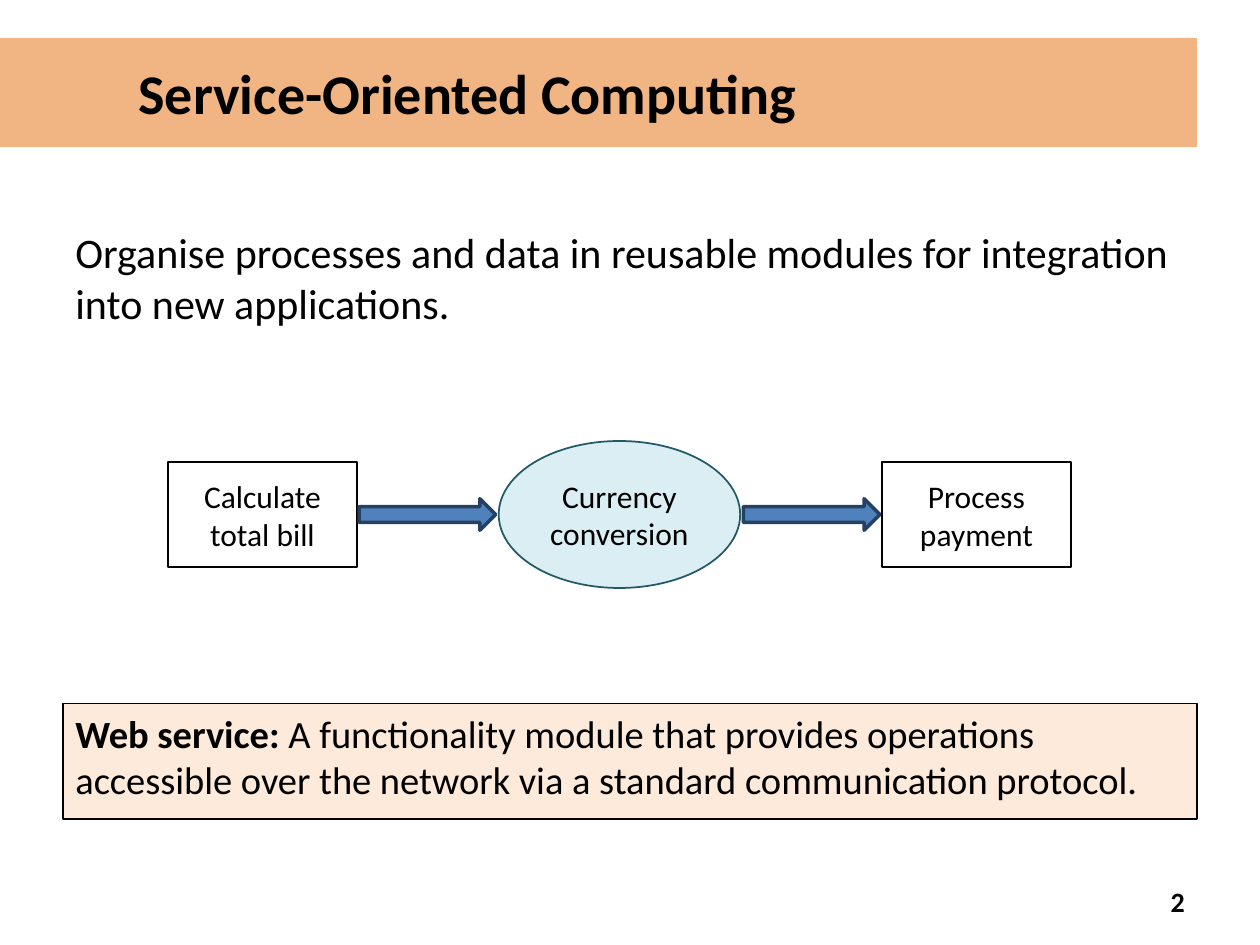
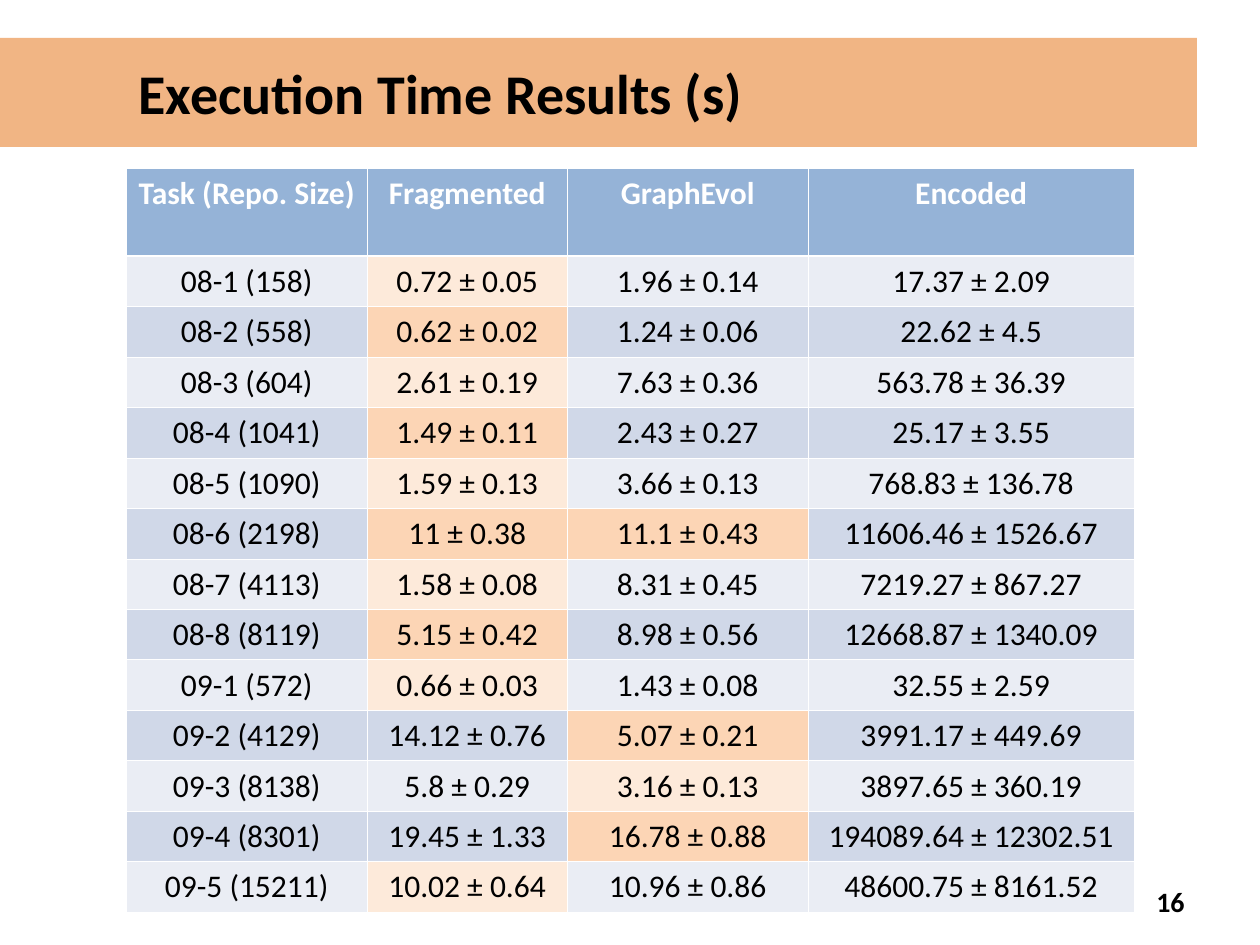
from lxml.etree import SubElement
from pptx import Presentation
from pptx.dml.color import RGBColor
from pptx.enum.shapes import MSO_SHAPE
from pptx.enum.text import MSO_ANCHOR, PP_ALIGN
from pptx.oxml import parse_xml
from pptx.oxml.ns import nsdecls, qn
from pptx.util import Inches, Pt

# Grid: 120 columns by 90 rows on a 10 x 7.5 inch slide
prs = Presentation()
prs.slide_width, prs.slide_height = Inches(10), Inches(7.5)
U = prs.slide_width // 120
rgb = RGBColor.from_string

FONT = "Calibri"
BLACK, WHITE = "000000", "FFFFFF"
ORANGE, PEACH, DEEP_PEACH = "E46C0A", "FDEADA", "FCD5B5"
HEADER, LIGHT_ROW, DARK_ROW = "95B3D7", "EAEDF4", "D0D8E8"
LEFT, CENTER, RIGHT = PP_ALIGN.LEFT, PP_ALIGN.CENTER, PP_ALIGN.RIGHT


def write(tf, text, size=18, color=BLACK, bold=False, align=CENTER, lead=""):
    """Write one paragraph, with an optional bold lead-in."""
    p = tf.paragraphs[0]
    p.alignment = align
    for part, heavy in ((lead, True), (text, bold)):
        if part:
            r = p.add_run()
            r.text = part
            r.font.name, r.font.size, r.font.bold = FONT, Pt(size), heavy
            r.font.color.rgb = rgb(color)


def block(s, kind, at, fill=None, line=None, width=1, anchor=MSO_ANCHOR.MIDDLE):
    """Add a shape, or a text box if kind is None, at grid units."""
    at = [int(v * U) for v in at]
    if kind is None:
        sp = s.shapes.add_textbox(*at)
    else:
        sp = s.shapes.add_shape(kind, *at)
        sp.shadow.inherit = False
        sp.fill.solid()
        sp.fill.fore_color.rgb = rgb(fill)
        if line:
            sp.line.color.rgb = rgb(line)
            sp.line.width = Pt(width)
        else:
            sp.line.fill.background()
    sp.text_frame.word_wrap = True
    sp.text_frame.vertical_anchor = anchor
    return sp


# Shared parts: title band and page number
slides = []
for title, number in (("Service-Oriented Computing", "2"),
                      ("Execution Time Results (s)", "16")):
    s = prs.slides.add_slide(prs.slide_layouts[6])
    band = block(s, MSO_SHAPE.RECTANGLE, (0, 3.6, 114, 10.4), ORANGE)
    color = band.fill._xPr.find(qn("a:solidFill"))[0]
    SubElement(color, qn("a:alpha"), val="50000")
    band.text_frame.margin_left = Inches(1.1)
    write(band.text_frame, title, size=32, bold=True, align=LEFT)
    page = block(s, None, (86, 83.4, 28, 4.8))
    write(page.text_frame, number, size=16, bold=True, align=RIGHT)
    slides.append(s)

# Slide 1: statement and definition
s = slides[0]
sp = block(s, None, (6, 21, 108, 11), anchor=MSO_ANCHOR.TOP)
write(sp.text_frame, "Organise processes and data in reusable modules for "
      "integration into new applications.", size=24, align=LEFT)
sp = block(s, MSO_SHAPE.RECTANGLE, (6, 67, 108, 11), PEACH, BLACK, 0.75,
           MSO_ANCHOR.TOP)
write(sp.text_frame, " A functionality module that provides operations accessible "
      "over the network via a standard communication protocol.",
      size=22, align=LEFT, lead="Web service:")

# Slide 1: process flow
for text, kind, at, fill, line in (
    ("Calculate total bill", MSO_SHAPE.RECTANGLE, (16, 44, 18, 10), WHITE, BLACK),
    ("Process payment", MSO_SHAPE.RECTANGLE, (84, 44, 18, 10), WHITE, BLACK),
    ("Currency conversion", MSO_SHAPE.OVAL, (47.5, 42, 23, 14), "DBEEF4", "215968"),
):
    write(block(s, kind, at, fill, line).text_frame, text)
for x in (34.2, 70.8):
    block(s, MSO_SHAPE.RIGHT_ARROW, (x, 47.5, 13, 3), "4F81BD", "254061", 2)

# Slide 2: results, with the columns that hold the best time
headings = ("Task (Repo. Size)", "Fragmented", "GraphEvol", "Encoded")
results = (
    ("08-1 (158)", "0.72 ± 0.05", "1.96 ± 0.14", "17.37 ± 2.09", (1,)),
    ("08-2 (558)", "0.62 ± 0.02", "1.24 ± 0.06", "22.62 ± 4.5", (1,)),
    ("08-3 (604)", "2.61 ± 0.19", "7.63 ± 0.36", "563.78 ± 36.39", (1,)),
    ("08-4 (1041)", "1.49 ± 0.11", "2.43 ± 0.27", "25.17 ± 3.55", (1,)),
    ("08-5 (1090)", "1.59 ± 0.13", "3.66 ± 0.13", "768.83 ± 136.78", (1,)),
    ("08-6 (2198)", "11 ± 0.38", "11.1 ± 0.43", "11606.46 ± 1526.67", (1, 2)),
    ("08-7 (4113)", "1.58 ± 0.08", "8.31 ± 0.45", "7219.27 ± 867.27", (1,)),
    ("08-8 (8119)", "5.15 ± 0.42", "8.98 ± 0.56", "12668.87 ± 1340.09", (1,)),
    ("09-1 (572)", "0.66 ± 0.03", "1.43 ± 0.08", "32.55 ± 2.59", (1,)),
    ("09-2 (4129)", "14.12 ± 0.76", "5.07 ± 0.21", "3991.17 ± 449.69", (2,)),
    ("09-3 (8138)", "5.8 ± 0.29", "3.16 ± 0.13", "3897.65 ± 360.19", (2,)),
    ("09-4 (8301)", "19.45 ± 1.33", "16.78 ± 0.88", "194089.64 ± 12302.51", (2,)),
    ("09-5 (15211)", "10.02 ± 0.64", "10.96 ± 0.86", "48600.75 ± 8161.52", (1,)),
)
rows = [(*headings, ())] + list(results)
table = slides[1].shapes.add_table(len(rows), len(headings), 12 * U, 16 * U,
                                   96 * U, int(70.8 * U)).table
for column, width in zip(table.columns, (23, 19, 23, 31)):
    column.width = width * U
for i, (*texts, best) in enumerate(rows):
    table.rows[i].height = Inches(0.4 if i else 0.7)
    plain, marked = (LIGHT_ROW, PEACH) if i % 2 else (DARK_ROW, DEEP_PEACH)
    for j, text in enumerate(texts):
        cell = table.cell(i, j)
        cell.fill.solid()
        cell.fill.fore_color.rgb = rgb(
            HEADER if i == 0 else marked if j in best else plain)
        write(cell.text_frame, text, color=BLACK if i else WHITE, bold=i == 0)
        # White borders, heavier under the heading row
        for k, side in enumerate("LRTB"):
            heavy = (i, side) in ((0, "B"), (1, "T"))
            cell._tc.get_or_add_tcPr().insert(k, parse_xml(
                f'<a:ln{side} {nsdecls("a")} w="{Pt(1.47 if heavy else 0.45)}">'
                f'<a:solidFill><a:srgbClr val="{WHITE}"/></a:solidFill></a:ln{side}>'))

prs.save("out.pptx")
